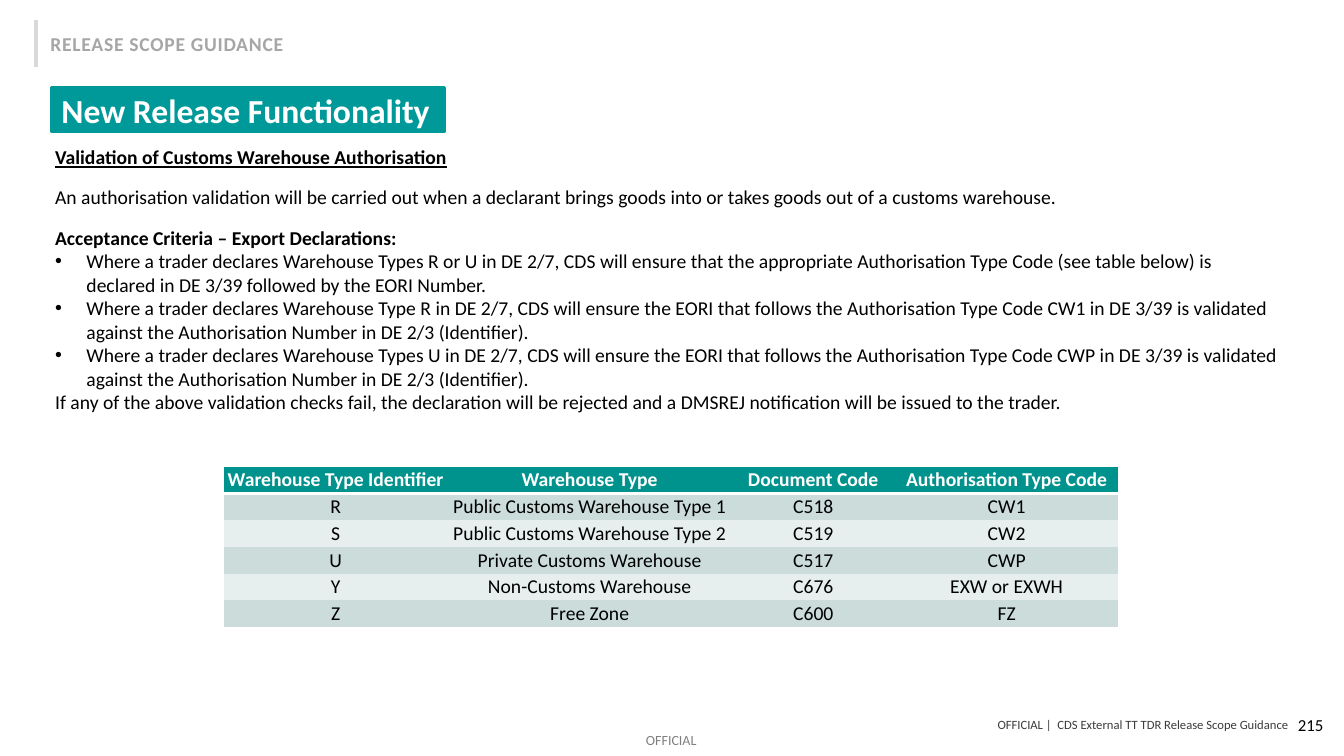
from lxml.etree import SubElement
from pptx import Presentation
from pptx.dml.color import RGBColor
from pptx.enum.shapes import MSO_CONNECTOR, MSO_SHAPE
from pptx.enum.text import MSO_ANCHOR, PP_ALIGN
from pptx.oxml import parse_xml
from pptx.oxml.ns import nsdecls, qn
from pptx.util import Cm, Pt

COLOURS = {
    "black": "000000", "white": "FFFFFF", "rule": "D9D9D9", "heading": "A6A6A6",
    "footer": "3B3A3D", "title": "009999", "header": "00928C",
    "dark_band": "CBDCDB", "light_band": "E7EEEE",
}


def colour(name):
    return RGBColor.from_string(COLOURS[name])


def write(para, text, ink="black", align=PP_ALIGN.LEFT, **formats):
    para.alignment = align
    span = para.add_run()
    span.text = text
    span.font.color.rgb = colour(ink)
    for name, value in {"name": "Calibri", "size": Pt(14), **formats}.items():
        setattr(span.font, name, value)
    return span


deck = Presentation()
deck.slide_width, deck.slide_height = Cm(33.87), Cm(19.05)
page = deck.slides.add_slide(deck.slide_layouts[6])

for x in (0.91, 0.89):
    rule = page.shapes.add_connector(MSO_CONNECTOR.STRAIGHT, Cm(x), Cm(0.51), Cm(x), Cm(1.7))
    rule.line.color.rgb = colour("rule")
    rule.line.width = Pt(2.25)
    SubElement(rule._element.spPr, qn("a:effectLst"))

flush = {"margin_left": 0, "margin_right": 0, "margin_top": 0, "margin_bottom": 0}
middle = {"vertical_anchor": MSO_ANCHOR.MIDDLE, "word_wrap": True}
labels = [
    ((8.18, 18.06, 24.28, 0.41), {**flush, **middle},
     "OFFICIAL |  CDS External TT TDR Release Scope Guidance",
     {"ink": "footer", "align": PP_ALIGN.RIGHT, "size": Pt(9)}),
    ((16.28, 18.44, 1.35, 0.43), {**flush, "word_wrap": False}, "OFFICIAL", {"size": Pt(10)}),
    ((1.02, 0.69, 6.45, 0.86), {"word_wrap": False}, "RELEASE SCOPE GUIDANCE",
     {"ink": "heading", "bold": True}),
    ((25.98, 17.75, 7.62, 1.02), middle, "215", {"align": PP_ALIGN.RIGHT, "size": Pt(12)}),
]
spans = []
for place, frame_formats, text, formats in labels:
    box = page.shapes.add_textbox(*map(Cm, place))
    for name, value in frame_formats.items():
        setattr(box.text_frame, name, value)
    spans.append(write(box.text_frame.paragraphs[0], text, **formats))

classification, heading = spans[1:3]
ink = classification._r.rPr.find(".//" + qn("a:srgbClr"))
SubElement(ink, qn("a:alpha")).set("val", "50000")
heading._r.rPr.set("spc", "50")

body = page.shapes.add_textbox(Cm(1.14), Cm(3.53), Cm(31.34), Cm(7.14)).text_frame
body.word_wrap = True
guidance = [
    ("Validation of Customs Warehouse Authorisation", 0, False, {"bold": True, "underline": True}),
    ("An authorisation validation will be carried out when a declarant brings goods into or takes "
     "goods out of a customs warehouse.", 12, False, {}),
    ("Acceptance Criteria – Export Declarations:", 12, False, {"bold": True}),
    ("Where a trader declares Warehouse Types R or U in DE 2/7, CDS will ensure that the appropriate "
     "Authorisation Type Code (see table below) is declared in DE 3/39 followed by the EORI Number.",
     0, True, {}),
    ("Where a trader declares Warehouse Type R in DE 2/7, CDS will ensure the EORI that follows the "
     "Authorisation Type Code CW1 in DE 3/39 is validated against the Authorisation Number in DE 2/3 "
     "(Identifier).", 0, True, {}),
    ("Where a trader declares Warehouse Types U in DE 2/7, CDS will ensure the EORI that follows the "
     "Authorisation Type Code CWP in DE 3/39 is validated against the Authorisation Number in DE 2/3 "
     "(Identifier).", 0, True, {}),
    ("If any of the above validation checks fail, the declaration will be rejected and a DMSREJ "
     "notification will be issued to the trader.", 0, False, {}),
]
for index, (text, gap, bulleted, formats) in enumerate(guidance):
    para = body.add_paragraph() if index else body.paragraphs[0]
    if gap:
        para.space_before = Pt(gap)
    if bulleted:
        properties = para._p.get_or_add_pPr()
        properties.set("marL", str(Cm(0.79)))
        properties.set("indent", str(-Cm(0.79)))
        SubElement(properties, qn("a:buFont")).set("typeface", "Arial")
        SubElement(properties, qn("a:buChar")).set("char", "•")
    write(para, text, **formats)

rows = [
    ("Warehouse Type Identifier", "Warehouse Type", "Document Code", "Authorisation Type Code"),
    ("R", "Public Customs Warehouse Type 1", "C518", "CW1"),
    ("S", "Public Customs Warehouse Type 2", "C519", "CW2"),
    ("U", "Private Customs Warehouse", "C517", "CWP"),
    ("Y", "Non-Customs Warehouse", "C676", "EXW or EXWH"),
    ("Z", "Free Zone", "C600", "FZ"),
]
widths = (5.64, 7.16, 4.11, 5.64)
last_row, last_column = len(rows) - 1, len(widths) - 1
frame = page.shapes.add_table(len(rows), len(widths), Cm(5.64), Cm(11.76), Cm(sum(widths)), Cm(3.96))
table = frame.table
table._tbl.tblPr.find(qn("a:tableStyleId")).text = "{2D5ABB26-0587-4C30-8999-92F81FD0307C}"
for column, width in zip(table.columns, widths):
    column.width = Cm(width)
cell_formats = {
    "margin_left": Cm(0.07), "margin_right": Cm(0.07), "margin_top": Cm(0.04),
    "margin_bottom": Cm(0.04), "vertical_anchor": MSO_ANCHOR.MIDDLE,
}
for r, row in enumerate(rows):
    table.rows[r].height = Cm(0.66)
    band = "header" if r == 0 else ("light_band", "dark_band")[r % 2]
    for c, text in enumerate(row):
        cell = table.cell(r, c)
        for name, value in cell_formats.items():
            setattr(cell, name, value)
        cell.fill.solid()
        cell.fill.fore_color.rgb = colour(band)
        write(cell.text_frame.paragraphs[0], text, "white" if r == 0 else "black",
              PP_ALIGN.CENTER, bold=r == 0)
        edges = {"lnL": c == 0, "lnR": c == last_column, "lnT": r == 0,
                 "lnB": 3 if r == 0 else r == last_row}
        drawn = [(tag, points) for tag, points in edges.items() if points]
        for position, (tag, points) in enumerate(drawn):
            border = parse_xml(
                f'<a:{tag} {nsdecls("a")} w="{Pt(points)}"><a:solidFill>'
                f'<a:srgbClr val="{COLOURS["white"]}"/></a:solidFill></a:{tag}>')
            cell._tc.get_or_add_tcPr().insert(position, border)

title = page.shapes.add_shape(MSO_SHAPE.RECTANGLE, Cm(1.3), Cm(2.21), Cm(9.91), Cm(1.12))
title.shadow.inherit = False
title.fill.solid()
title.fill.fore_color.rgb = colour("title")
title.line.color.rgb = colour("title")
title.line.width = Pt(2)
title.text_frame.vertical_anchor = MSO_ANCHOR.MIDDLE
write(title.text_frame.paragraphs[0], "New Release Functionality", "white", size=Pt(24), bold=True)

deck.save("out.pptx")
